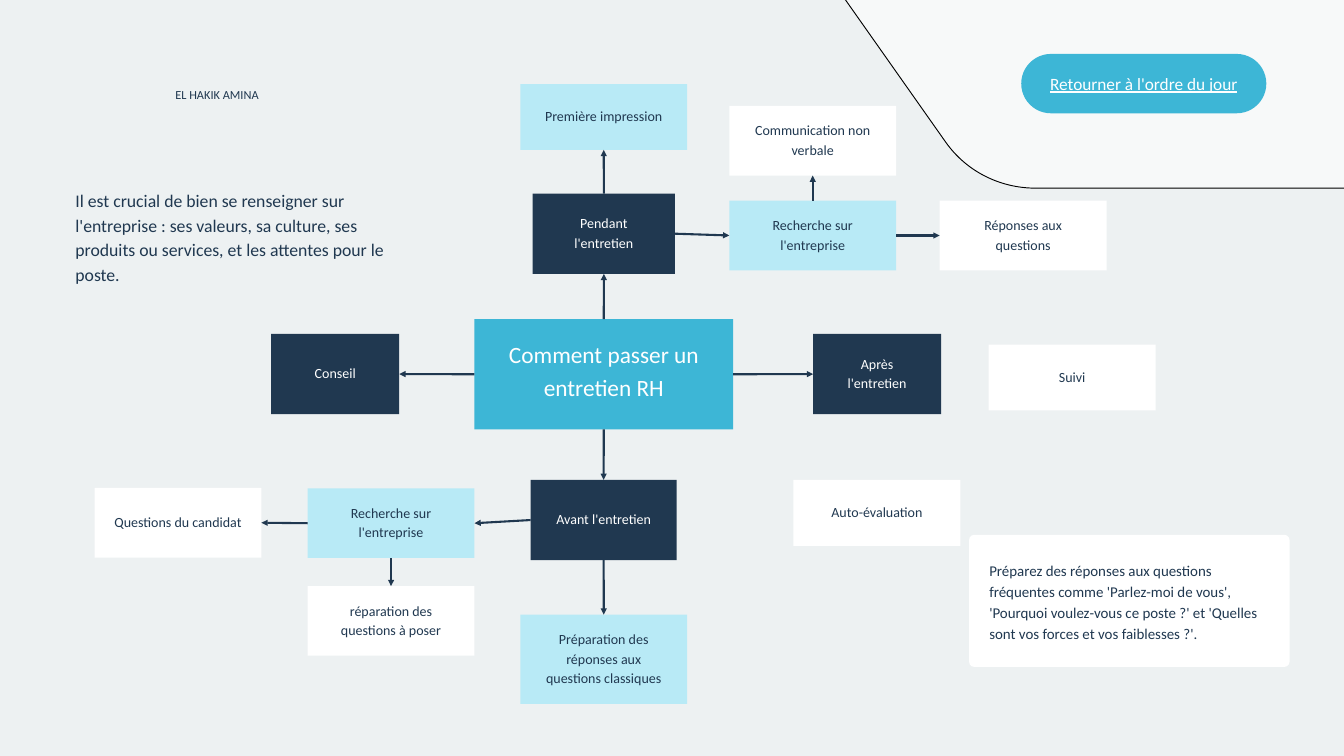
from lxml import etree
from pptx import Presentation
from pptx.dml.color import RGBColor
from pptx.enum import shapes, text
from pptx.oxml.ns import qn
from pptx.util import Pt

COLORS = {
    "background": "EDF1F2", "navy": "203850", "blue": "3DB6D6",
    "pale": "B8EAF6", "white": "FFFFFF", "black": "000000",
}
TOP, LEFT, BOTTOM, RIGHT = range(4)  # connection sites of a rectangle


def color(name):
    return RGBColor.from_string(COLORS[name])


def write(shape, words, size, spacing, ink, centered=True, margins=(0, 0, 0, 0)):
    """Fill a shape with one paragraph; margins are left, top, right, bottom."""
    frame = shape.text_frame
    frame.text = words
    frame.word_wrap = True
    frame.auto_size = text.MSO_AUTO_SIZE.NONE
    frame.vertical_anchor = text.MSO_ANCHOR.MIDDLE
    frame.margin_left, frame.margin_top, frame.margin_right, frame.margin_bottom = map(Pt, margins)
    paragraph = frame.paragraphs[0]
    paragraph.alignment = text.PP_ALIGN.CENTER if centered else text.PP_ALIGN.LEFT
    paragraph.line_spacing = Pt(spacing)
    font = paragraph.runs[0].font
    font.name, font.size = "Calibri", Pt(size)
    font.color.rgb = color(ink)
    return font


presentation = Presentation()
presentation.slide_width, presentation.slide_height = Pt(1440), Pt(810)
slide = presentation.slides.add_slide(presentation.slide_layouts[5])
slide.background.fill.solid()
slide.background.fill.fore_color.rgb = color("background")

# Central topic
title = slide.shapes.title
title.left, title.top, title.width, title.height = Pt(508.3), Pt(342), Pt(277.2), Pt(118)
title.fill.solid()
title.fill.fore_color.rgb = color("blue")
write(title, "Comment passer un entretien RH", 25, 35, "white", margins=(20, 0, 20, 13))

# Rounded corner panel: two numbers make a line, six make a cubic curve
corner_start = (1639.4, 143.3)
corner_path = [
    (1791.4, -118.1), (1817.3, -162.7, 1810.8, -219.6, 1775.5, -257),
    (1438.6, -623.5), (1416.2, -648, 1384.6, -661.7, 1351.4, -661.7),
    (997.9, -661.7), (933.1, -661.7, 879.8, -608.4, 879.8, -543.6),
    (879.8, -74.2), (879.8, -49.7, 887.8, -25.9, 901.4, -6.5),
    (1013, 151.9), (1034.6, 182.9, 1070.6, 201.6, 1109.5, 201.6),
    (1537.9, 201.6), (1579.7, 201.6, 1618.6, 179.3, 1639.4, 143.3),
]
CURVE_STEPS = 24
corner_points, pen = [], corner_start
for segment in corner_path:
    if len(segment) == 2:
        corner_points.append(segment)
    else:
        controls = [pen, segment[:2], segment[2:4], segment[4:]]
        for step in range(1, CURVE_STEPS + 1):
            t = step / CURVE_STEPS
            weights = ((1 - t) ** 3, 3 * t * (1 - t) ** 2, 3 * t * t * (1 - t), t ** 3)
            corner_points.append(tuple(
                sum(weight * point[axis] for weight, point in zip(weights, controls))
                for axis in (0, 1)))
    pen = segment[-2:]
builder = slide.shapes.build_freeform(Pt(corner_start[0]), Pt(corner_start[1]))
builder.add_line_segments([(Pt(x), Pt(y)) for x, y in corner_points], close=True)
corner = builder.convert_to_shape()
corner.shadow.inherit = False
corner.fill.solid()
corner.fill.fore_color.rgb = color("white")
corner_fill = corner.fill._xPr.find(qn("a:solidFill"))[0]
etree.SubElement(corner_fill, qn("a:alpha")).set("val", "60000")
corner.line.color.rgb = color("black")
corner.line.width = Pt(1)

# Boxes of the map: key, words, fill, left, top, width, height
LEAF = 178.8
boxes = [
    ("advice", "Conseil", "navy", 290.6, 357.8, 137.2, 86),
    ("during", "Pendant l'entretien", "navy", 570.8, 207.4, 152.4, 86),
    ("before", "Avant l'entretien", "navy", 568.6, 514.2, 156.4, 86),
    ("after", "Après l'entretien", "navy", 871.2, 357.8, 137.2, 86),
    ("impression", "Première impression", "pale", 557.5, 90, LEAF, 70.6),
    ("research", "Recherche sur l'entreprise", "pale", 781.4, 215, LEAF, 74.6),
    ("answers", "Réponses aux questions", "white", 1006.8, 215, LEAF, 74.6),
    ("nonverbal", "Communication non verbale", "white", 781.4, 113.5, LEAF, 74.6),
    ("early research", "Recherche sur l'entreprise", "pale", 329.6, 523.3, LEAF, 74.6),
    ("preparation", "Préparation des réponses aux questions classiques", "pale",
     557.5, 658.6, LEAF, 95.5),
    ("candidate", "Questions du candidat", "white", 101.3, 522.8, LEAF, 74.6),
    ("to ask", "réparation des questions à poser", "white", 329.6, 628, LEAF, 74.6),
    ("follow-up", "Suivi", "white", 1059.3, 369.2, LEAF, 70.6),
    ("self-review", "Auto-évaluation", "white", 850.2, 514.2, LEAF, 70.6),
]
nodes = {"topic": title}
for key, words, fill, *place in boxes:
    box = slide.shapes.add_shape(shapes.MSO_SHAPE.RECTANGLE, *map(Pt, place))
    box.shadow.inherit = False
    box.fill.solid()
    box.fill.fore_color.rgb = color(fill)
    box.line.fill.background()
    write(box, words, 15, 21, "white" if fill == "navy" else "navy", margins=(20, 0, 20, 4.5))
    nodes[key] = box

# Arrows: from, to, side they leave by
arrows = [
    ("topic", "after", RIGHT), ("topic", "advice", LEFT),
    ("topic", "during", TOP), ("topic", "before", BOTTOM),
    ("during", "research", RIGHT), ("before", "early research", LEFT),
    ("before", "preparation", BOTTOM), ("early research", "candidate", LEFT),
    ("early research", "to ask", BOTTOM), ("during", "impression", TOP),
    ("research", "answers", RIGHT), ("research", "nonverbal", TOP),
]
for source, target, side in arrows:
    arrow = slide.shapes.add_connector(shapes.MSO_CONNECTOR.STRAIGHT, 0, 0, 0, 0)
    arrow.begin_connect(nodes[source], side)
    arrow.end_connect(nodes[target], (side + 2) % 4)
    arrow.line.color.rgb = color("navy")
    arrow.line.width = Pt(2.25)
    etree.SubElement(arrow.line._get_or_add_ln(), qn("a:tailEnd")).set("type", "triangle")
    etree.SubElement(arrow._element.spPr, qn("a:effectLst"))

# Advice card and agenda button: fill, ink, corner ratio, place, words, size, spacing, centred
panels = [
    ("white", "navy", 0.04, (1038.3, 573, 343.4, 141.6),
     "Préparez des réponses aux questions fréquentes comme 'Parlez-moi de vous', "
     "'Pourquoi voulez-vous ce poste ?' et 'Quelles sont vos forces et vos faiblesses ?'.",
     16, 22.4, False),
    ("blue", "white", 0.5, (1094.2, 57.8, 262.6, 63.6),
     "Retourner à l'ordre du jour", 18.5, 22.2, True),
]
for fill, ink, ratio, place, words, size, spacing, centered in panels:
    panel = slide.shapes.add_shape(shapes.MSO_SHAPE.ROUNDED_RECTANGLE, *map(Pt, place))
    panel.adjustments[0] = ratio
    panel.shadow.inherit = False
    panel.fill.solid()
    panel.fill.fore_color.rgb = color(fill)
    panel.line.fill.background()
    font = write(panel, words, size, spacing, ink, centered, (20, 0, 20, 0))
    font.underline = fill == "blue"

# Free text
notes = [
    ("Il est crucial de bien se renseigner sur l'entreprise : ses valeurs, sa culture, "
     "ses produits ou services, et les attentes pour le poste.",
     19, 26.6, (80.8, 199.4, 360, 104.4)),
    ("EL HAKIK AMINA", 13.2, 18.5, (187.9, 90.7, 237.6, 16.6)),
]
for words, size, spacing, place in notes:
    note = slide.shapes.add_textbox(*map(Pt, place))
    write(note, words, size, spacing, "navy", centered=False)
    note.text_frame.vertical_anchor = text.MSO_ANCHOR.TOP

presentation.save("out.pptx")
